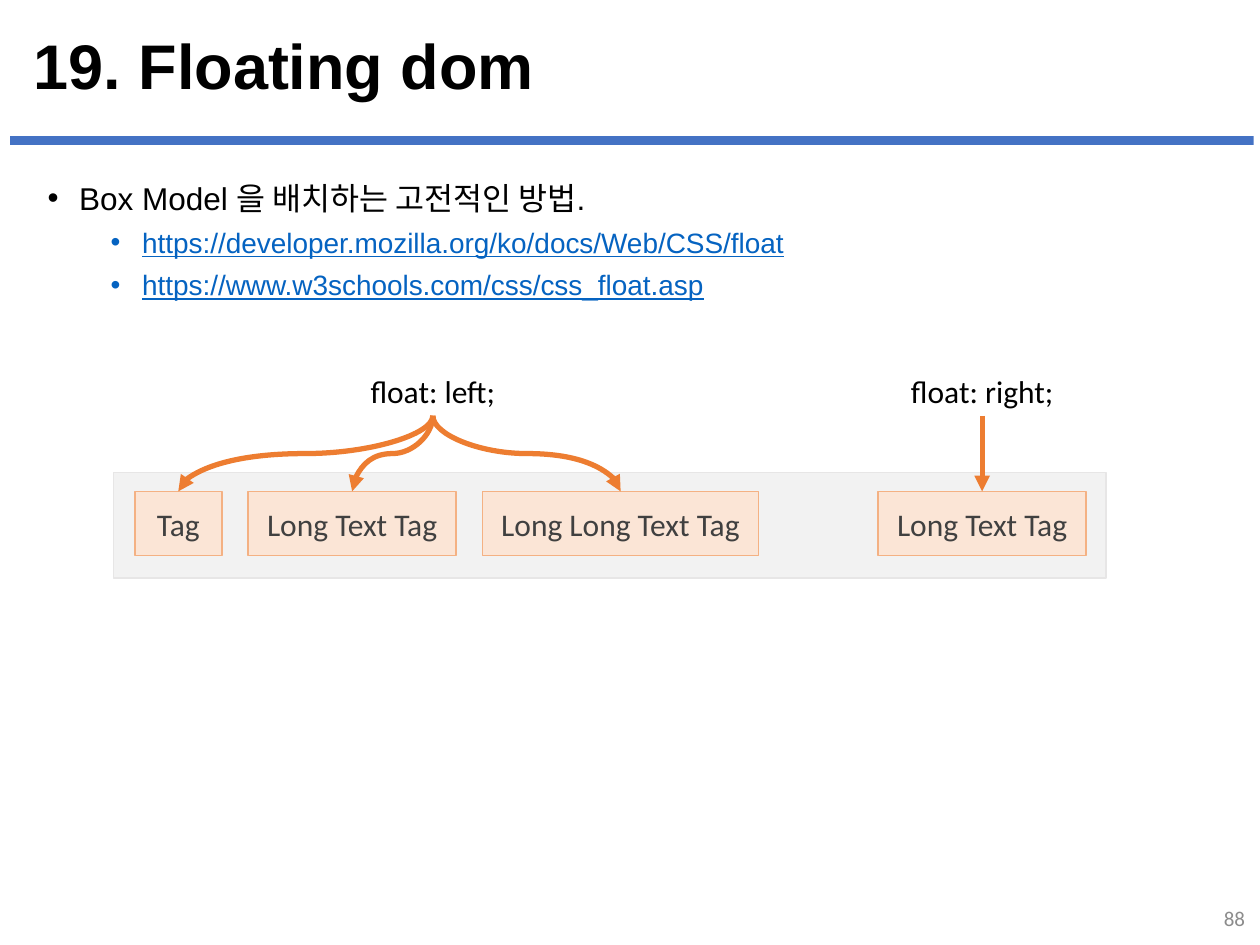
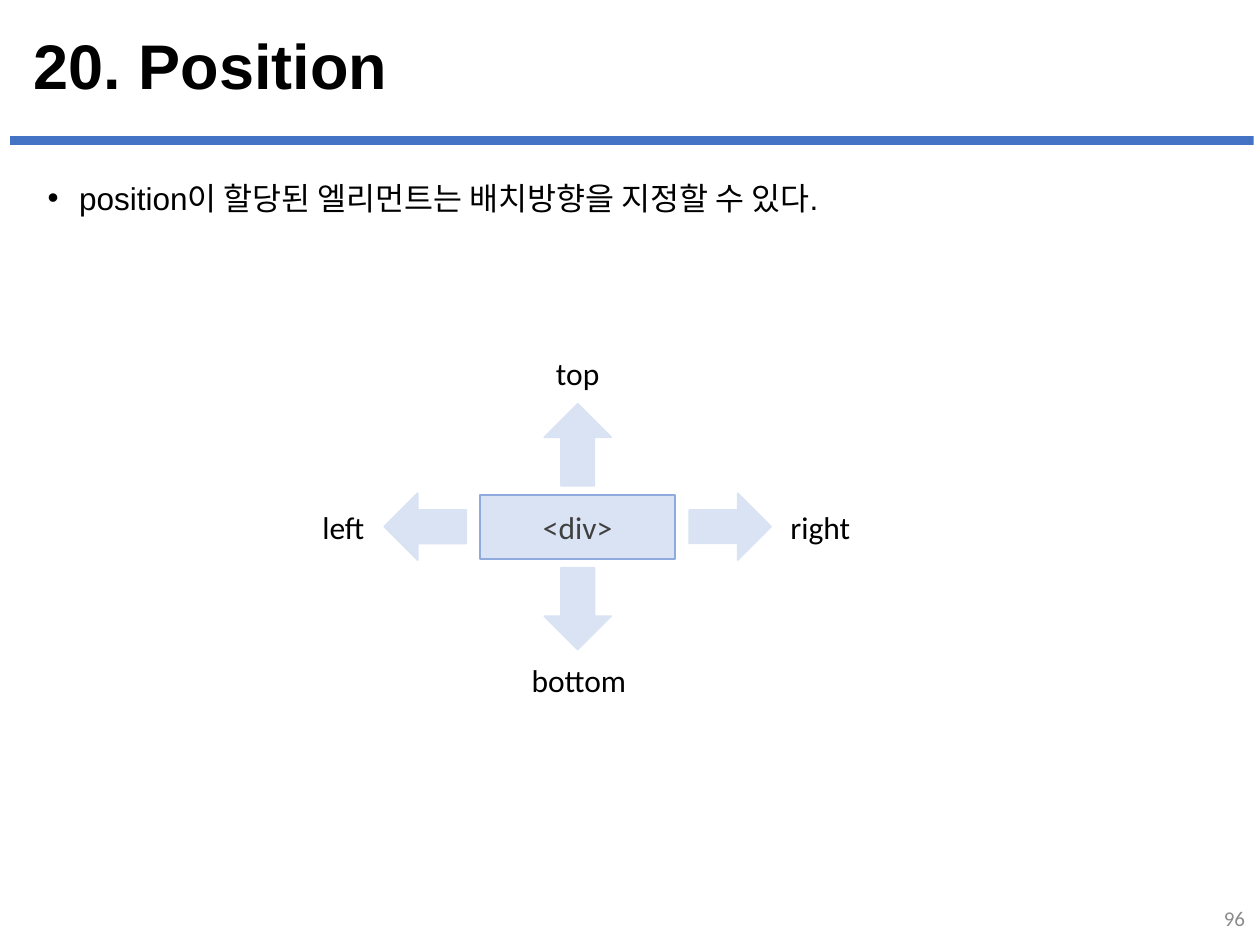
from dataclasses import dataclass

from lxml import etree
from pptx import Presentation
from pptx.dml.color import RGBColor
from pptx.enum.shapes import MSO_CONNECTOR, MSO_SHAPE
from pptx.enum.text import MSO_ANCHOR, MSO_AUTO_SIZE, PP_ALIGN
from pptx.oxml.ns import qn
from pptx.shapes.autoshape import Shape
from pptx.shapes.connector import Connector
from pptx.slide import Slide
from pptx.util import Inches, Pt

RECTANGLE = MSO_SHAPE.RECTANGLE
RIGHT_ARROW = MSO_SHAPE.RIGHT_ARROW
STRAIGHT, CURVE = MSO_CONNECTOR.STRAIGHT, MSO_CONNECTOR.CURVE
LEFT, CENTER, RIGHT = PP_ALIGN.LEFT, PP_ALIGN.CENTER, PP_ALIGN.RIGHT
TOP, MIDDLE = MSO_ANCHOR.TOP, MSO_ANCHOR.MIDDLE

HEADING_FONT, LABEL_FONT = "Arial", "Calibri"
BLACK, DARK_GREY, PAGE_GREY = "000000", "404040", "8C8C8C"
BAND_BLUE, LINK_BLUE = "4472C4", "0563C1"
PANEL_FILL, PANEL_LINE = "F2F2F2", "E7E6E6"
TAG_FILL, TAG_LINE, ARROW_ORANGE = "FBE5D6", "F4B183", "ED7D31"
DIV_FILL, DIV_LINE = "DAE3F3", "8FAADC"


@dataclass(frozen=True)
class Style:
    size: float
    color: str = BLACK
    font: str = LABEL_FONT
    bold: bool = False
    underline: bool = False


@dataclass(frozen=True)
class Area:
    left: float
    top: float
    width: float
    height: float

    def lengths(self) -> tuple:
        return tuple(Inches(v) for v in (self.left, self.top, self.width, self.height))

    @property
    def middle(self) -> float:
        return self.left + self.width / 2

    @property
    def bottom(self) -> float:
        return self.top + self.height


@dataclass(frozen=True)
class Bullet:
    text: str
    style: Style
    indent: float
    space_before: float = 0


@dataclass(frozen=True)
class Direction:
    name: str
    rotation: int
    arrow_x: float
    arrow_y: float
    label: Area


TITLE_STYLE = Style(36, font=HEADING_FONT, bold=True)
BODY_STYLE = Style(18, font=HEADING_FONT)
LINK_STYLE = Style(16, LINK_BLUE, HEADING_FONT, underline=True)
NUMBER_STYLE = Style(12, PAGE_GREY)
LABEL_STYLE = Style(18)
BOX_STYLE = Style(18, DARK_GREY)

BAND = Area(0.08, 1.08, 9.87, 0.07)
TITLE = Area(0.17, 0.22, 9.66, 0.66)
BODY = Area(0.28, 1.37, 9.4, 5.99)
NUMBER = Area(7.73, 7.09, 2.25, 0.4)


def rgb(color: str) -> RGBColor:
    return RGBColor.from_string(color)


def add_span(para, text: str, style: Style) -> None:
    span = para.add_run()
    span.text = text
    span.font.name = style.font
    span.font.size = Pt(style.size)
    span.font.bold = style.bold
    span.font.underline = style.underline
    span.font.color.rgb = rgb(style.color)


def add_text(shapes, area: Area, text: str, style: Style, align=LEFT, anchor=MIDDLE) -> Shape:
    box = shapes.add_textbox(*area.lengths())
    frame = box.text_frame
    frame.word_wrap = True
    frame.vertical_anchor = anchor
    para = frame.paragraphs[0]
    para.alignment = align
    add_span(para, text, style)
    return box


def add_label(shapes, area: Area, text: str) -> Shape:
    box = add_text(shapes, area, text, LABEL_STYLE, CENTER, TOP)
    box.text_frame.word_wrap = False
    box.text_frame.auto_size = MSO_AUTO_SIZE.SHAPE_TO_FIT_TEXT
    return box


def add_block(shapes, area: Area, fill: str, line: str = "", text: str = "",
              preset=RECTANGLE) -> Shape:
    block = shapes.add_shape(preset, *area.lengths())
    block.shadow.inherit = False
    block.fill.solid()
    block.fill.fore_color.rgb = rgb(fill)
    if line:
        block.line.color.rgb = rgb(line)
        block.line.width = Pt(1)
    else:
        block.line.fill.background()
    if text:
        frame = block.text_frame
        frame.word_wrap = True
        frame.vertical_anchor = MIDDLE
        frame.paragraphs[0].alignment = CENTER
        add_span(frame.paragraphs[0], text, BOX_STYLE)
    return block


def add_bullets(page: Slide, bullets: list[Bullet]) -> None:
    frame = page.shapes.add_textbox(*BODY.lengths()).text_frame
    frame.word_wrap = True
    for index, bullet in enumerate(bullets):
        para = frame.add_paragraph() if index else frame.paragraphs[0]
        properties = para._p.get_or_add_pPr()
        properties.set("marL", str(Inches(bullet.indent)))
        properties.set("indent", str(Inches(-0.25)))
        etree.SubElement(properties, qn("a:buFont"), typeface="Arial")
        etree.SubElement(properties, qn("a:buChar"), char="•")
        if index:
            para.space_before = Pt(bullet.space_before)
        add_span(para, bullet.text, bullet.style)


def add_page(deck, title: str, number: int, bullets: list[Bullet]) -> Slide:
    page = deck.slides.add_slide(deck.slide_layouts[6])
    add_block(page.shapes, BAND, BAND_BLUE)
    add_bullets(page, bullets)
    heading = add_text(page.shapes, TITLE, title, TITLE_STYLE)
    heading.text_frame.paragraphs[0].line_spacing = 0.9
    add_text(page.shapes, NUMBER, str(number), NUMBER_STYLE, RIGHT)
    return page


def style_arrow(arrow: Connector) -> None:
    arrow.line.color.rgb = rgb(ARROW_ORANGE)
    arrow.line.width = Pt(3)
    etree.SubElement(arrow.line._get_or_add_ln(), qn("a:tailEnd"), type="triangle")
    etree.SubElement(arrow._element.spPr, qn("a:effectLst"))


def add_curved_arrow(page: Slide, label: Area, tag: Area) -> None:
    """Curve that leaves the label downwards: a sideways curve turned by 90 degrees."""
    center_x = (label.middle + tag.middle) / 2
    center_y = (label.bottom + tag.top) / 2
    across = abs(tag.middle - label.middle) / 2
    down = (tag.top - label.bottom) / 2
    turn = 1 if tag.middle < label.middle else -1
    arrow = page.shapes.add_connector(
        CURVE,
        Inches(center_x - turn * down), Inches(center_y - across),
        Inches(center_x + turn * down), Inches(center_y + across))
    arrow._element.spPr.find(qn("a:xfrm")).set("rot", str(turn * 90 % 360 * 60000))
    style_arrow(arrow)


def build_floating(deck) -> None:
    page = add_page(deck, "19. Floating dom", 88, [
        Bullet("Box Model 을 배치하는 고전적인 방법.", BODY_STYLE, 0.25),
        Bullet("https://developer.mozilla.org/ko/docs/Web/CSS/float", LINK_STYLE, 0.75, 5),
        Bullet("https://www.w3schools.com/css/css_float.asp", LINK_STYLE, 0.75, 5),
    ])
    add_block(page.shapes, Area(0.9, 3.75, 7.88, 0.84), PANEL_FILL, PANEL_LINE)
    tag_top, tag_height, tag_gap = 3.9, 0.51, 0.21
    left_label = Area(2.83, 2.9, 1.21, 0.4)
    right_label = Area(7.12, 2.9, 1.35, 0.4)

    left_tags = []
    left = 1.07
    for text, width in (("Tag", 0.69), ("Long Text Tag", 1.65), ("Long Long Text Tag", 2.19)):
        tag = Area(left, tag_top, width, tag_height)
        add_block(page.shapes, tag, TAG_FILL, TAG_LINE, text)
        left_tags.append(tag)
        left += width + tag_gap
    right_tag = add_block(page.shapes, Area(6.97, tag_top, 1.65, tag_height),
                          TAG_FILL, TAG_LINE, "Long Text Tag")

    add_label(page.shapes, left_label, "float: left;")
    right_box = add_label(page.shapes, right_label, "float: right;")
    for tag in left_tags:
        add_curved_arrow(page, left_label, tag)
    middle = Inches(right_label.middle)
    arrow = page.shapes.add_connector(
        STRAIGHT, middle, Inches(right_label.bottom), middle, Inches(tag_top))
    arrow.begin_connect(right_box, 2)
    arrow.end_connect(right_tag, 0)
    style_arrow(arrow)


def build_position(deck) -> None:
    page = add_page(deck, "20. Position", 96, [
        Bullet("position이 할당된 엘리먼트는 배치방향을 지정할 수 있다.", BODY_STYLE, 0.25),
    ])
    diagram = page.shapes.add_group_shape().shapes
    div = Area(3.81, 3.93, 1.55, 0.51)
    add_block(diagram, div, DIV_FILL, DIV_LINE, "<div>")

    arrow_width, arrow_height = 0.65, 0.53
    reach_x, reach_y = 1.21, 0.65
    center_y = 4.18
    directions = [
        Direction("right", 0, reach_x, 0, Area(6.17, 3.98, 0.68, 0.4)),
        Direction("left", 180, -reach_x, 0, Area(2.45, 3.98, 0.55, 0.4)),
        Direction("top", 270, 0, -reach_y, Area(4.31, 2.76, 0.55, 0.4)),
        Direction("bottom", 90, 0, reach_y, Area(4.11, 5.2, 0.97, 0.4)),
    ]
    for direction in directions:
        area = Area(div.middle + direction.arrow_x - arrow_width / 2,
                    center_y + direction.arrow_y - arrow_height / 2,
                    arrow_width, arrow_height)
        arrow = add_block(diagram, area, DIV_FILL, DIV_FILL, preset=RIGHT_ARROW)
        arrow.rotation = direction.rotation
        add_label(diagram, direction.label, direction.name)


def main() -> None:
    deck = Presentation()
    deck.slide_width, deck.slide_height = Inches(10), Inches(7.5)
    build_floating(deck)
    build_position(deck)
    deck.save("out.pptx")


if __name__ == "__main__":
    main()
